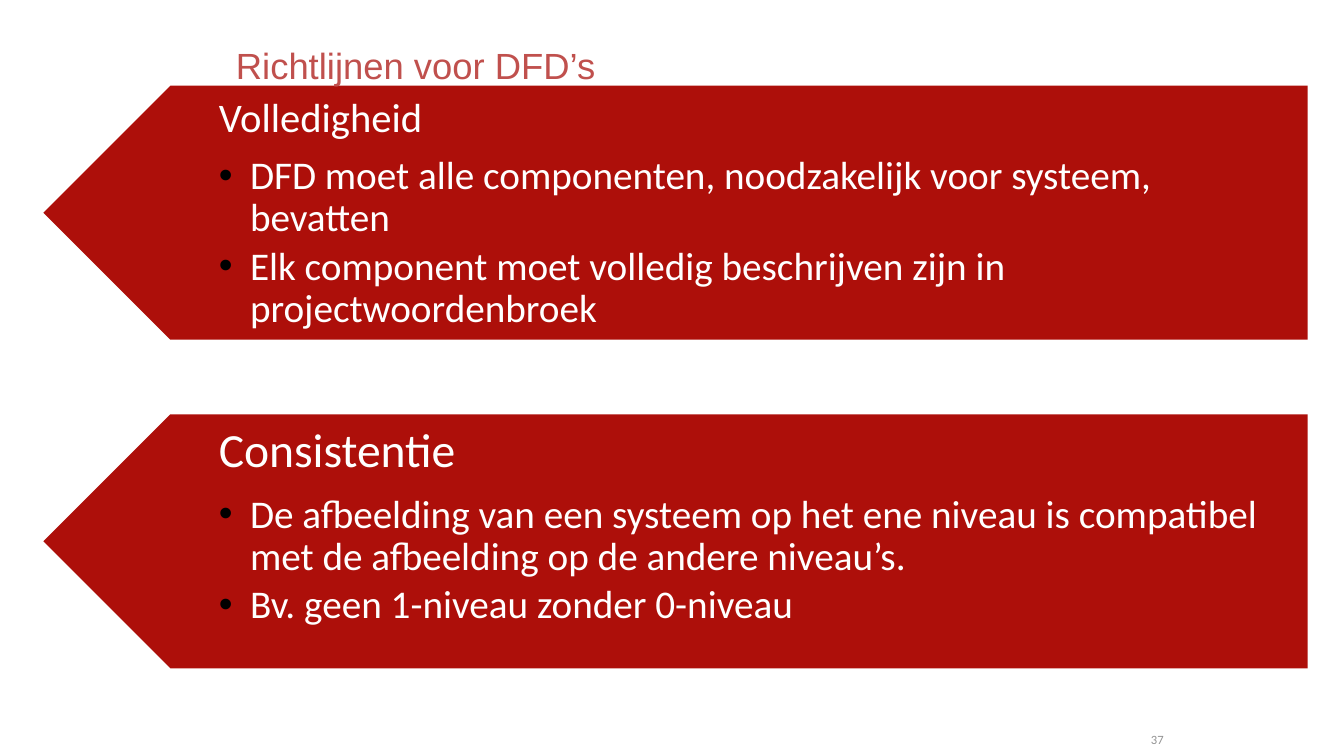
from lxml import etree
from pptx import Presentation
from pptx.dml.color import RGBColor
from pptx.enum.shapes import MSO_SHAPE
from pptx.enum.text import MSO_ANCHOR, MSO_AUTO_SIZE, PP_ALIGN
from pptx.oxml.ns import qn
from pptx.util import Inches, Pt


def style(font, name, size, color):
    font.name = name
    font.size = Pt(size)
    font.color.rgb = RGBColor.from_string(color)


def set_bullet(paragraph, char=None, indent=0):
    props = paragraph._p.get_or_add_pPr()
    props.set("marL", str(Inches(indent)))
    props.set("indent", str(-Inches(indent)))
    if char is None:
        etree.SubElement(props, qn("a:buNone"))
        return
    bullet_color = etree.SubElement(props, qn("a:buClr"))
    etree.SubElement(bullet_color, qn("a:srgbClr"), val="000000")
    etree.SubElement(props, qn("a:buFont"), typeface="Arial")
    etree.SubElement(props, qn("a:buChar"), char=char)


guidelines = [
    ("Volledigheid", 29, [
        "DFD moet alle componenten, noodzakelijk voor systeem, bevatten",
        "Elk component moet volledig beschrijven zijn in projectwoordenbroek",
    ]),
    ("Consistentie", 34, [
        "De afbeelding van een systeem op het ene niveau is compatibel "
        "met de afbeelding op de andere niveau’s.",
        "Bv. geen 1-niveau zonder 0-niveau",
    ]),
]

prs = Presentation()
prs.slide_width, prs.slide_height = Inches(13.33), Inches(7.5)
slide = prs.slides.add_slide(prs.slide_layouts[3])
shapes = slide.shapes

# Guidelines: a left-pointing arrow with a list on top of each
for row, (heading, heading_size, points) in enumerate(guidelines):
    top = Inches(0.85 + row * 3.26)
    arrow = shapes.add_shape(MSO_SHAPE.PENTAGON, Inches(0.43), top,
                             Inches(12.54), Inches(2.52))
    arrow.rotation = 180
    arrow.shadow.inherit = False
    arrow.fill.solid()
    arrow.fill.fore_color.rgb = RGBColor.from_string("AD0F0A")
    arrow.line.fill.background()

    guideline = slide.placeholders[row + 1]
    guideline.left, guideline.top = Inches(1.06), top
    guideline.width, guideline.height = Inches(11.91), Inches(2.52)
    shapes._spTree.append(guideline._element)  # bring in front of the arrow
    frame = guideline.text_frame
    frame.auto_size = MSO_AUTO_SIZE.NONE
    frame.word_wrap = True
    frame.vertical_anchor = MSO_ANCHOR.TOP
    frame.margin_left, frame.margin_right = Inches(1.11), Inches(0.22)
    frame.margin_top = frame.margin_bottom = Inches(0.12)

    for number, text in enumerate([heading] + points):
        is_heading = number == 0
        paragraph = frame.paragraphs[0] if is_heading else frame.add_paragraph()
        size = heading_size if is_heading else 28
        if is_heading:
            set_bullet(paragraph)
        else:
            paragraph.level = 1
            set_bullet(paragraph, "•", 0.31)
        paragraph.line_spacing = 0.9
        paragraph.space_before = Pt(0)
        paragraph.space_after = Pt(round(size * (0.35 if is_heading else 0.15), 1))
        run = paragraph.add_run()
        run.text = text
        style(run.font, "Calibri", size, "FFFFFF")

# Title, in front of the first arrow
title = shapes.title
title.left, title.top = Inches(2.34), Inches(0.05)
title.width, title.height = Inches(8.5), Inches(1.25)
shapes._spTree.append(title._element)
frame = title.text_frame
frame.auto_size = MSO_AUTO_SIZE.NONE
frame.vertical_anchor = MSO_ANCHOR.MIDDLE
frame.margin_left = frame.margin_right = frame.margin_top = frame.margin_bottom = 0
heading_line = frame.paragraphs[0]
heading_line.alignment = PP_ALIGN.LEFT
heading_line.line_spacing = 0.9
run = heading_line.add_run()
run.text = "Richtlijnen voor DFD’s"
style(run.font, "Arial", 26, "C0504D")

# Page number
page_number = shapes.add_textbox(Inches(9.33), Inches(7.15), Inches(2.31), Inches(0.38))
frame = page_number.text_frame
frame.word_wrap = True
frame.vertical_anchor = MSO_ANCHOR.MIDDLE
frame.paragraphs[0].alignment = PP_ALIGN.RIGHT
run = frame.paragraphs[0].add_run()
run.text = "37"
style(run.font, "Calibri", 9, "939393")

prs.save("out.pptx")
